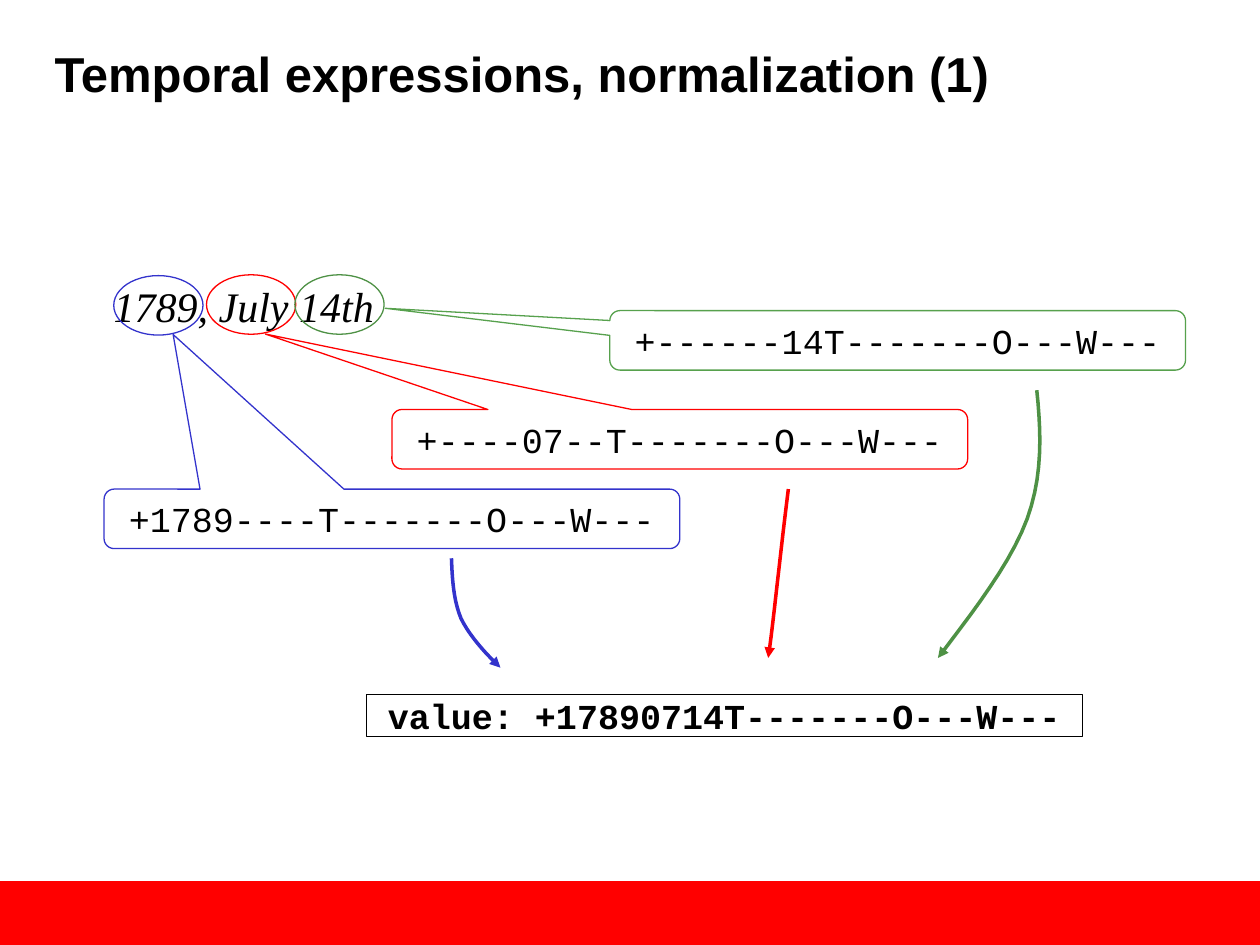
"""Build a slide that shows how a temporal expression is normalized."""
from dataclasses import dataclass

from lxml import etree
from pptx import Presentation
from pptx.dml.color import RGBColor
from pptx.enum import shapes, text
from pptx.oxml import ns
from pptx.util import Pt


@dataclass
class Theme:
    black: str = "000000"
    red: str = "FF0000"
    blue: str = "3333CC"
    green: str = "4E9145"
    light_green: str = "57A14D"
    title: float = 28
    phrase: float = 24
    code: float = 20
    thin: float = 0.75
    thick: float = 2


theme = Theme()
MSO = shapes.MSO_SHAPE


def write(sp, words, font, size, bold=False, italic=False,
          align=text.PP_ALIGN.LEFT, anchor=text.MSO_ANCHOR.TOP,
          margins=(0, 0), wrap=True, spacing=1.0):
    tf = sp.text_frame
    tf.word_wrap = wrap
    tf.auto_size = text.MSO_AUTO_SIZE.NONE
    tf.vertical_anchor = anchor
    tf.margin_left = tf.margin_right = Pt(margins[0])
    tf.margin_top = tf.margin_bottom = Pt(margins[1])
    p = tf.paragraphs[0]
    p.alignment = align
    p.line_spacing = spacing
    r = p.add_run()
    r.text = words
    r.font.name = font
    r.font.size = Pt(size)
    r.font.bold = bold
    r.font.italic = italic
    r.font.color.rgb = RGBColor.from_string(theme.black)


def outline(sp, color, width=theme.thin):
    sp.shadow.inherit = False
    sp.fill.background()
    sp.line.color.rgb = RGBColor.from_string(color)
    sp.line.width = Pt(width)


prs = Presentation()
prs.slide_width, prs.slide_height = Pt(720), Pt(540)
s = prs.slides.add_slide(prs.slide_layouts[5])

band = s.shapes.add_shape(MSO.RECTANGLE, Pt(0), Pt(503.5), Pt(720), Pt(36.5))
band.shadow.inherit = False
band.fill.solid()
band.fill.fore_color.rgb = RGBColor.from_string(theme.red)
band.line.fill.background()

title = s.shapes.title
title.left, title.top, title.width, title.height = Pt(24), Pt(24), Pt(660), Pt(55)
write(title, "Temporal expressions, normalization (1)", "Arial", theme.title,
      bold=True, margins=(7.2, 3.6), spacing=0.93)

phrase = s.shapes.add_textbox(Pt(65), Pt(160.5), Pt(149), Pt(29))
write(phrase, "1789, July 14th", "Times New Roman", theme.phrase,
      italic=True, wrap=False)

parts = [
    ("+1789----T-------O---W---", 59.5, 279.5, (-0.38, -3.1), theme.blue,
     65, 157.5, theme.blue),
    ("+----07--T-------O---W---", 224, 234, (-0.72, -1.77), theme.red,
     118, 157, theme.red),
    ("+------14T-------O---W---", 348.5, 177.5, (-0.89, -0.54), theme.light_green,
     168.5, 157, theme.green),
]
for code, x, y, tip, color, ring_x, ring_y, ring_color in parts:
    callout = s.shapes.add_shape(MSO.ROUNDED_RECTANGULAR_CALLOUT,
                                 Pt(x), Pt(y), Pt(329), Pt(34))
    callout.adjustments[0], callout.adjustments[1] = tip
    callout.adjustments[2] = 0.17
    outline(callout, color)
    write(callout, code, "Courier New", theme.code,
          align=text.PP_ALIGN.CENTER, anchor=text.MSO_ANCHOR.MIDDLE)
    ring = s.shapes.add_shape(MSO.OVAL, Pt(ring_x), Pt(ring_y), Pt(51), Pt(34))
    outline(ring, ring_color)

value = s.shapes.add_shape(MSO.RECTANGLE, Pt(209.5), Pt(397), Pt(409), Pt(24))
outline(value, theme.black)
write(value, "value: +17890714T-------O---W---", "Courier New", theme.code,
      bold=True, align=text.PP_ALIGN.CENTER, anchor=text.MSO_ANCHOR.MIDDLE,
      wrap=False)

STEPS = 10
arrows = [
    (theme.green, (592.5, 223), [((595, 247), (596, 271.5), (587, 296.5)),
                                 ((577.5, 322), (556.5, 349), (536, 376))]),
    (theme.red, (450.5, 279.5), [((445.5, 319.5), (441.5, 360), (439, 376))]),
    (theme.blue, (258, 319), [((258.5, 331), (259, 342.5), (263.5, 353.5)),
                              ((268.5, 363.5), (277, 373), (286, 381.5))]),
]
for color, start, curves in arrows:
    points, a = [], start
    for b, c, d in curves:
        for t in (i / STEPS for i in range(1, STEPS + 1)):
            weights = (1 - t) ** 3, 3 * t * (1 - t) ** 2, 3 * t * t * (1 - t), t ** 3
            points.append(tuple(
                Pt(sum(w * v for w, v in zip(weights, axis)))
                for axis in zip(a, b, c, d)))
        a = d
    path = s.shapes.build_freeform(Pt(start[0]), Pt(start[1]))
    path.add_line_segments(points, close=False)
    arrow = path.convert_to_shape()
    outline(arrow, color, theme.thick)
    etree.SubElement(arrow.line._get_or_add_ln(), ns.qn("a:tailEnd"), type="triangle")

prs.save("out.pptx")
